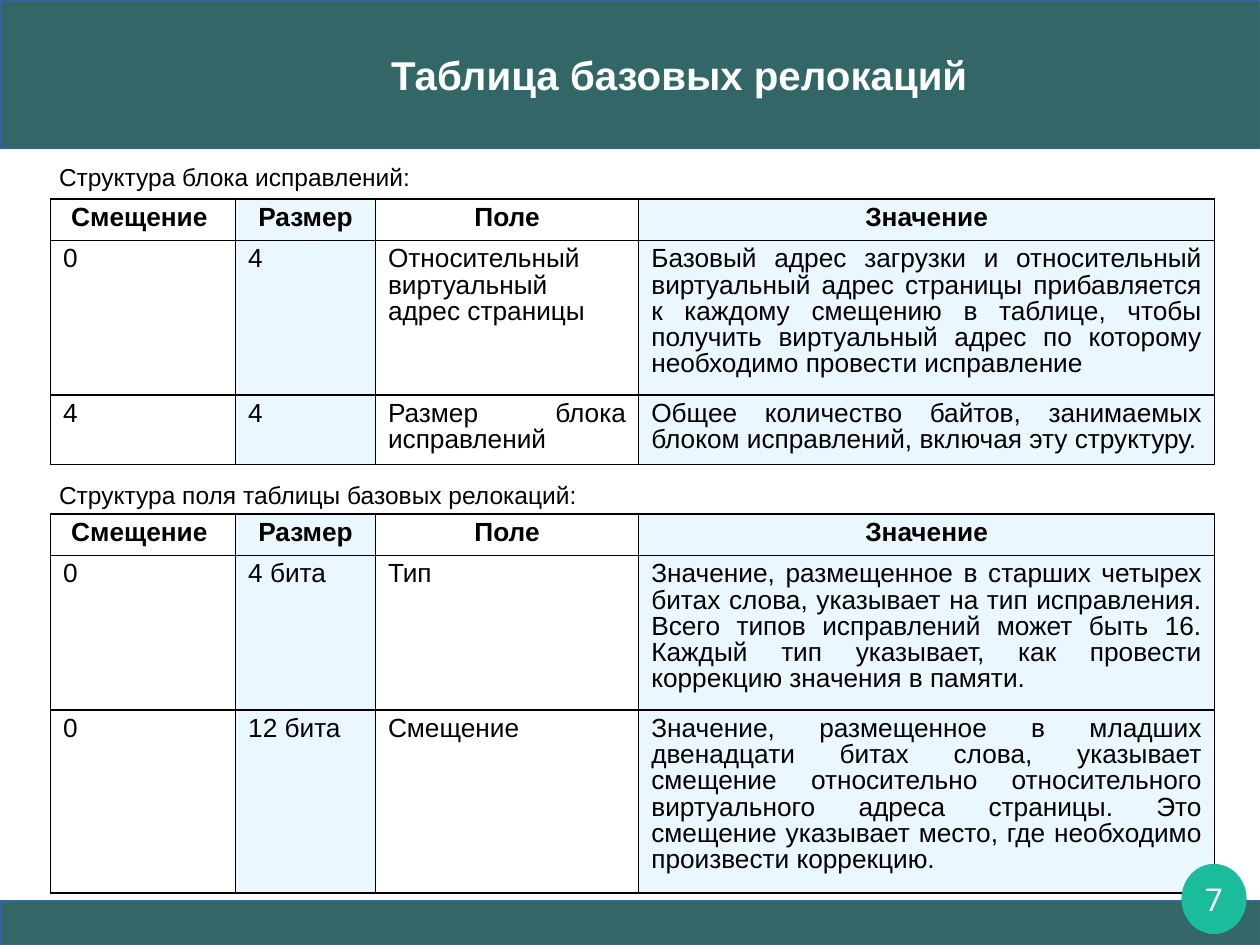
from dataclasses import dataclass

from lxml import etree
from pptx import Presentation
from pptx.dml.color import RGBColor
from pptx.enum.shapes import MSO_SHAPE
from pptx.enum.text import MSO_ANCHOR, MSO_AUTO_SIZE, PP_ALIGN
from pptx.oxml.ns import qn
from pptx.util import Inches, Pt

RECTANGLE, OVAL = MSO_SHAPE.RECTANGLE, MSO_SHAPE.OVAL
LEFT, CENTER, JUSTIFY = PP_ALIGN.LEFT, PP_ALIGN.CENTER, PP_ALIGN.JUSTIFY
MIDDLE = MSO_ANCHOR.MIDDLE
NO_AUTOFIT = MSO_AUTO_SIZE.NONE
TITLE_ONLY = 5


@dataclass(frozen=True)
class Theme:
    band: str = "336666"
    band_line: str = "3465A4"
    badge: str = "1ABC9C"
    column_tint: str = "EBF7FF"
    ink: str = "000000"
    light: str = "FFFFFF"
    font: str = "Arial"
    badge_font: str = "Roboto"
    title_size: int = 23
    badge_size: int = 18
    cell_size: int = 15
    caption_size: int = 14


THEME = Theme()

COLUMN_WIDTHS = (1.47, 1.11, 2.09, 4.57)
COLUMN_ALIGNMENTS = (LEFT, LEFT, JUSTIFY, JUSTIFY)
HEADERS = ("Смещение ", "Размер", "Поле", "Значение")

BLOCK_ROWS = (
    ("0", "4", "Относительный виртуальный адрес страницы",
     "Базовый адрес загрузки и относительный виртуальный адрес страницы "
     "прибавляется к каждому смещению в таблице, чтобы получить виртуальный "
     "адрес по которому необходимо провести исправление"),
    ("4", "4", "Размер блока исправлений",
     "Общее количество байтов, занимаемых блоком исправлений, "
     "включая эту структуру."),
)
FIELD_ROWS = (
    ("0", "4 бита", "Тип",
     "Значение, размещенное в старших четырех битах слова, указывает на тип "
     "исправления. Всего типов исправлений может быть 16. Каждый тип "
     "указывает, как провести коррекцию значения в памяти."),
    ("0", "12 бита", "Смещение",
     "Значение, размещенное в младших двенадцати битах слова, указывает "
     "смещение относительно относительного виртуального адреса страницы. Это "
     "смещение указывает место, где необходимо произвести коррекцию."),
)


def write(frame, text, size, color, align=LEFT, bold=False, font=THEME.font):
    frame.text = text
    paragraph = frame.paragraphs[0]
    paragraph.alignment = align
    style = paragraph.runs[0].font
    style.name, style.size, style.bold = font, Pt(size), bold
    style.color.rgb = RGBColor.from_string(color)
    return paragraph


def paint(shape, fill, line, width):
    shape.fill.solid()
    shape.fill.fore_color.rgb = RGBColor.from_string(fill)
    shape.line.color.rgb = RGBColor.from_string(line)
    shape.line.width = Pt(width)


def add_title(slide, text):
    title = slide.shapes.title
    title.left, title.top = Inches(0), Inches(0)
    title.width, title.height = Inches(10), Inches(1.18)
    paint(title, THEME.band, THEME.band_line, 0.75)
    frame = title.text_frame
    frame.auto_size = NO_AUTOFIT
    frame.vertical_anchor = MIDDLE
    frame.margin_left = Inches(0.79)
    frame.margin_top = frame.margin_right = frame.margin_bottom = 0
    write(frame, text, THEME.title_size, THEME.light, CENTER, bold=True)


def add_filled_shape(slide, kind, box, fill, line, width):
    shape = slide.shapes.add_shape(kind, *map(Inches, box))
    shape.shadow.inherit = False
    paint(shape, fill, line, width)
    return shape


def add_page_badge(slide, number):
    badge = add_filled_shape(slide, OVAL, (9.38, 6.86, 0.51, 0.55),
                             THEME.badge, THEME.badge, 0.5)
    frame = badge.text_frame
    frame.word_wrap = False
    frame.vertical_anchor = MIDDLE
    write(frame, number, THEME.badge_size, THEME.light, CENTER,
          font=THEME.badge_font)


def add_caption(slide, top, text):
    caption = slide.shapes.add_textbox(Inches(0.37), Inches(top),
                                       Inches(5.71), Inches(0.34))
    caption.text_frame.word_wrap = True
    write(caption.text_frame, text, THEME.caption_size, THEME.ink)


def set_borders(cell):
    properties = cell._tc.get_or_add_tcPr()
    # Borders come before the fill in the cell properties
    for position, side in enumerate(("a:lnL", "a:lnR", "a:lnT", "a:lnB")):
        border = etree.Element(qn(side), w=str(Pt(1)))
        fill = etree.SubElement(border, qn("a:solidFill"))
        etree.SubElement(fill, qn("a:srgbClr"), val=THEME.ink)
        properties.insert(position, border)


def add_structure_table(slide, top, row_heights, body):
    rows = (HEADERS, *body)
    table = slide.shapes.add_table(
        len(rows), len(HEADERS), Inches(0.4), Inches(top),
        Inches(sum(COLUMN_WIDTHS)), Inches(sum(row_heights))).table
    table.horz_banding = False
    for column, width in zip(table.columns, COLUMN_WIDTHS):
        column.width = Inches(width)
    for row, height in zip(table.rows, row_heights):
        row.height = Inches(height)
    for r, texts in enumerate(rows):
        header = r == 0
        for c, text in enumerate(texts):
            cell = table.cell(r, c)
            align = CENTER if header else COLUMN_ALIGNMENTS[c]
            paragraph = write(cell.text_frame, text, THEME.cell_size,
                              THEME.ink, align, bold=header)
            paragraph.line_spacing = 0.9
            # Every second column is tinted
            if c % 2:
                cell.fill.solid()
                cell.fill.fore_color.rgb = RGBColor.from_string(THEME.column_tint)
            else:
                cell.fill.background()
            set_borders(cell)


def main():
    presentation = Presentation()
    presentation.slide_width = Inches(10)
    presentation.slide_height = Inches(7.5)
    slide = presentation.slides.add_slide(
        presentation.slide_layouts[TITLE_ONLY])

    # Header and footer bands
    add_title(slide, "Таблица базовых релокаций")
    add_filled_shape(slide, RECTANGLE, (0, 7.15, 10, 0.35),
                     THEME.band, THEME.band_line, 0.75)

    # Fix-up block
    add_caption(slide, 1.24, "Структура блока исправлений:")
    add_structure_table(slide, 1.58, (0.33, 1.22, 0.55), BLOCK_ROWS)

    # Relocation table field
    add_caption(slide, 3.76, "Структура поля таблицы базовых релокаций:")
    add_structure_table(slide, 4.08, (0.33, 1.22, 1.45), FIELD_ROWS)

    # Page number over the table corner
    add_page_badge(slide, "7")

    presentation.save("out.pptx")


if __name__ == "__main__":
    main()
